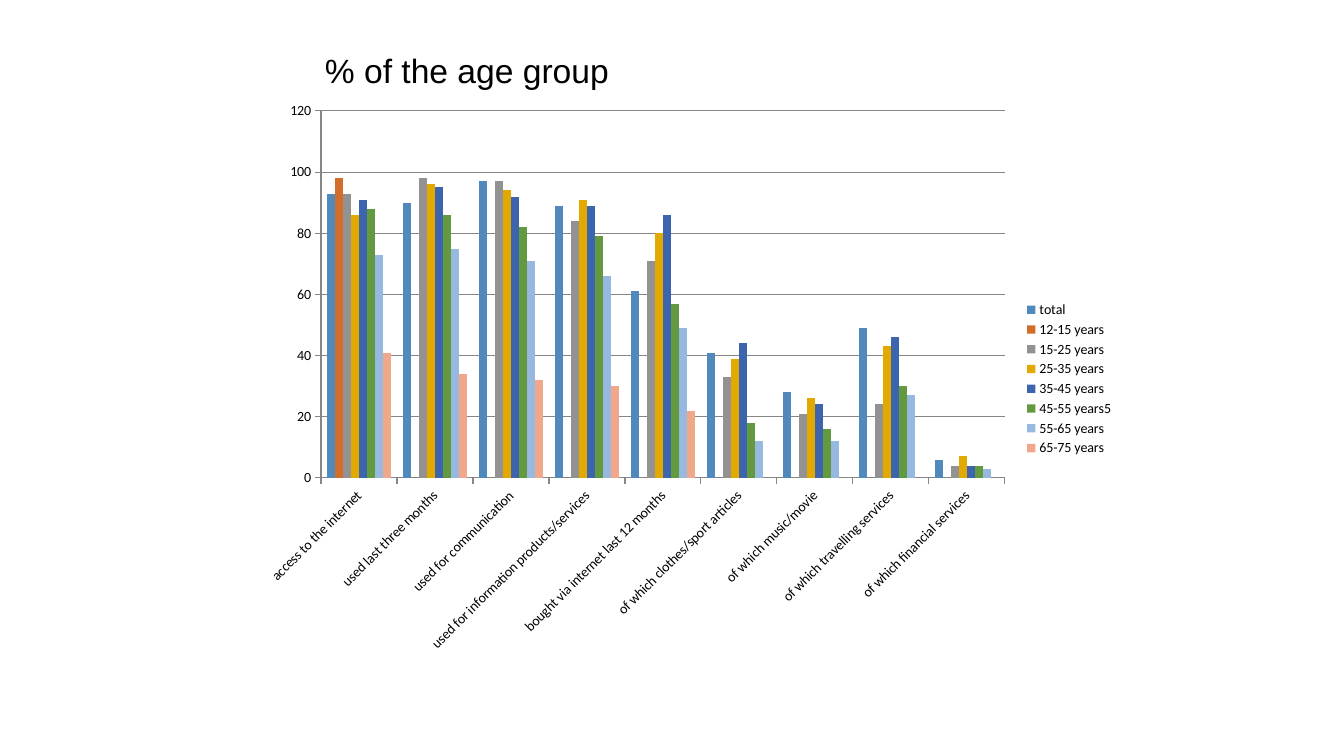
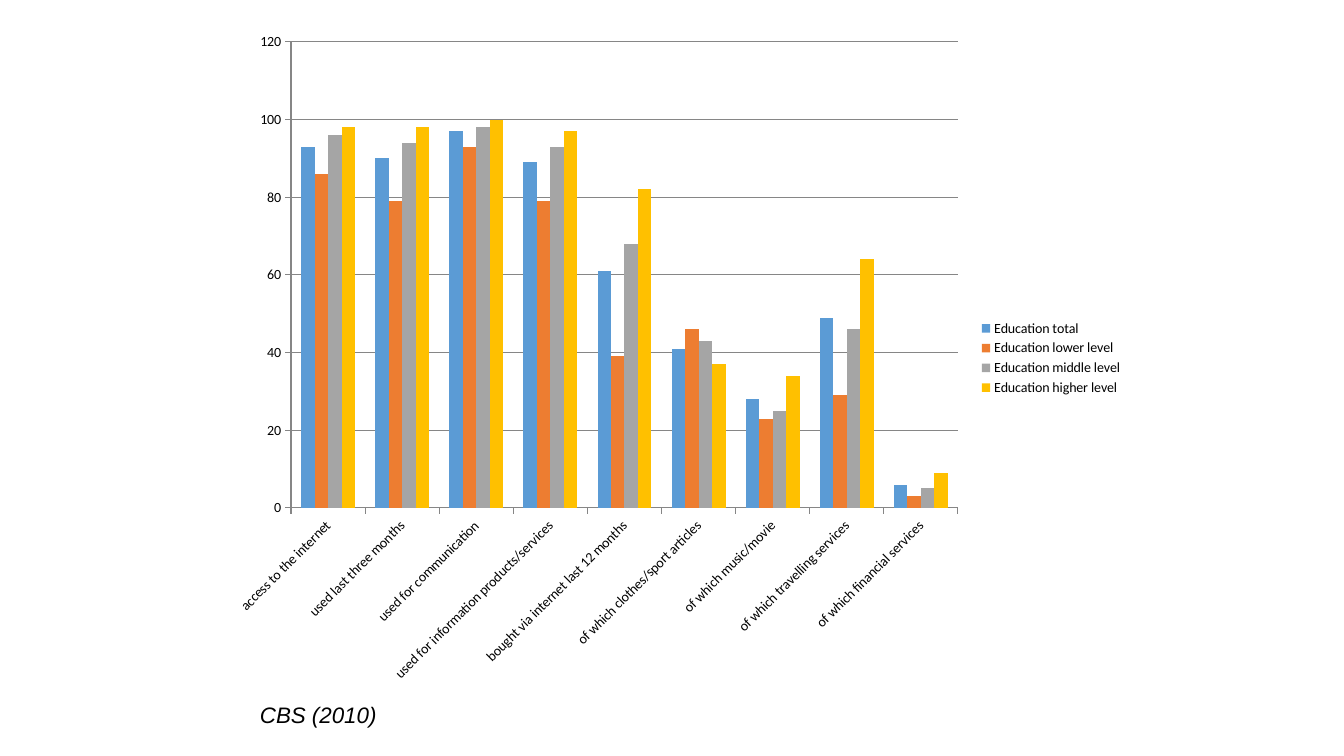
from dataclasses import dataclass

from lxml.etree import SubElement
from pptx import Presentation
from pptx.chart.data import CategoryChartData
from pptx.dml.color import RGBColor
from pptx.enum.chart import XL_CHART_TYPE, XL_LEGEND_POSITION, XL_TICK_MARK
from pptx.oxml import parse_xml
from pptx.oxml.ns import nsdecls, qn
from pptx.util import Pt

SCALE = 12192000 / 1344  # EMU per px


@dataclass(frozen=True)
class Theme:
    ink: str = "000000"
    rule: str = "868686"
    ages: tuple = ("5089BC", "D26E2A", "929292", "E2AA00",
                   "3C65AE", "639A3F", "97B9E0", "F1A78A")
    education: tuple = ("5B9BD5", "ED7D31", "A5A5A5", "FFC000")
    text_font: str = "Arial"
    chart_font: str = "Calibri"
    title_size: int = 24
    source_size: int = 16
    chart_size: int = 10


THEME = Theme()

CATEGORIES = (
    "access to the internet",
    "used last three months",
    "used for communication",
    "used for information products/services",
    "bought via internet last 12 months",
    "of which clothes/sport articles",
    "of which music/movie",
    "of which travelling services",
    "of which financial services",
)

AGE_GROUPS = {
    "total": (93, 90, 97, 89, 61, 41, 28, 49, 6),
    "12-15 years": (98, 0, 0, 0, 0, None, None, None, None),
    "15-25 years": (93, 98, 97, 84, 71, 33, 21, 24, 4),
    "25-35 years": (86, 96, 94, 91, 80, 39, 26, 43, 7),
    "35-45 years": (91, 95, 92, 89, 86, 44, 24, 46, 4),
    "45-55 years5": (88, 86, 82, 79, 57, 18, 16, 30, 4),
    "55-65 years": (73, 75, 71, 66, 49, 12, 12, 27, 3),
    "65-75 years": (41, 34, 32, 30, 22, None, None, None, None),
}

EDUCATION_LEVELS = {
    "Education total": (93, 90, 97, 89, 61, 41, 28, 49, 6),
    "Education lower level": (86, 79, 93, 79, 39, 46, 23, 29, 3),
    "Education middle level": (96, 94, 98, 93, 68, 43, 25, 46, 5),
    "Education higher level": (98, 98, 100, 97, 82, 37, 34, 64, 9),
}


def add_column_chart(s, box, plot, series, colors):
    """Place a clustered column chart; box and plot are (left, top, width, height) in px."""
    data = CategoryChartData(number_format="0")
    data.categories = CATEGORIES
    for name, values in series.items():
        data.add_series(name, values)
    chart = s.shapes.add_chart(XL_CHART_TYPE.COLUMN_CLUSTERED,
                               *(round(v * SCALE) for v in box), data).chart
    chart.has_title = False
    chart.font.name = THEME.chart_font
    chart.font.size = Pt(THEME.chart_size)
    chart.font.color.rgb = RGBColor.from_string(THEME.ink)
    chart.has_legend = True
    chart.legend.position = XL_LEGEND_POSITION.RIGHT
    chart.legend.include_in_layout = False

    columns = chart.plots[0]
    columns.gap_width = 150
    columns.overlap = 0
    columns.vary_by_categories = False
    for bars, color in zip(columns.series, colors):
        bars.invert_if_negative = False
        bars.format.fill.solid()
        bars.format.fill.fore_color.rgb = RGBColor.from_string(color)

    values, categories = chart.value_axis, chart.category_axis
    values.minimum_scale, values.maximum_scale, values.major_unit = 0, 120, 20
    values.has_major_gridlines = True
    for axis in (values, categories):
        axis.major_tick_mark = XL_TICK_MARK.OUTSIDE
        axis.tick_labels.font.size = Pt(THEME.chart_size)
    for part in (values, categories, values.major_gridlines):
        part.format.line.width = Pt(0.75)
        part.format.line.color.rgb = RGBColor.from_string(THEME.rule)
    categories._element.find(qn("c:txPr")).find(qn("a:bodyPr")).set("rot", "-2700000")

    area = chart._chartSpace.find(".//" + qn("c:plotArea"))
    for old in area.findall(qn("c:layout")):
        area.remove(old)
    layout = parse_xml(f"<c:layout {nsdecls('c')}><c:manualLayout/></c:layout>")
    left, top, width, height = box
    x, y, w, h = plot
    settings = {"layoutTarget": "inner", "xMode": "edge", "yMode": "edge",
                "x": (x - left) / width, "y": (y - top) / height,
                "w": w / width, "h": h / height}
    for tag, value in settings.items():
        SubElement(layout[0], qn(f"c:{tag}")).set("val", str(value))
    area.insert(0, layout)


def add_label(s, box, text, size, italic=False, wrap=True):
    tf = s.shapes.add_textbox(*(round(v * SCALE) for v in box)).text_frame
    tf.word_wrap = wrap
    tf.text = text
    font = tf.paragraphs[0].runs[0].font
    font.name = THEME.text_font
    font.size = Pt(size)
    font.italic = italic
    font.color.rgb = RGBColor.from_string(THEME.ink)


prs = Presentation()
prs.slide_width, prs.slide_height = round(1344 * SCALE), round(756 * SCALE)
blank = prs.slide_layouts[6]

# Internet use by age
s = prs.slides.add_slide(blank)
add_column_chart(s, (251, 93, 873, 572), (321, 111, 684, 367), AGE_GROUPS, THEME.ages)
add_label(s, (315, 45, 436, 51), "% of the age group", THEME.title_size)

# Internet use by education
s = prs.slides.add_slide(blank)
add_label(s, (250, 696, 138, 37), "CBS (2010)", THEME.source_size, italic=True, wrap=False)
add_column_chart(s, (220, 21, 913, 674), (291, 42, 667, 466),
                 EDUCATION_LEVELS, THEME.education)

prs.save("out.pptx")
